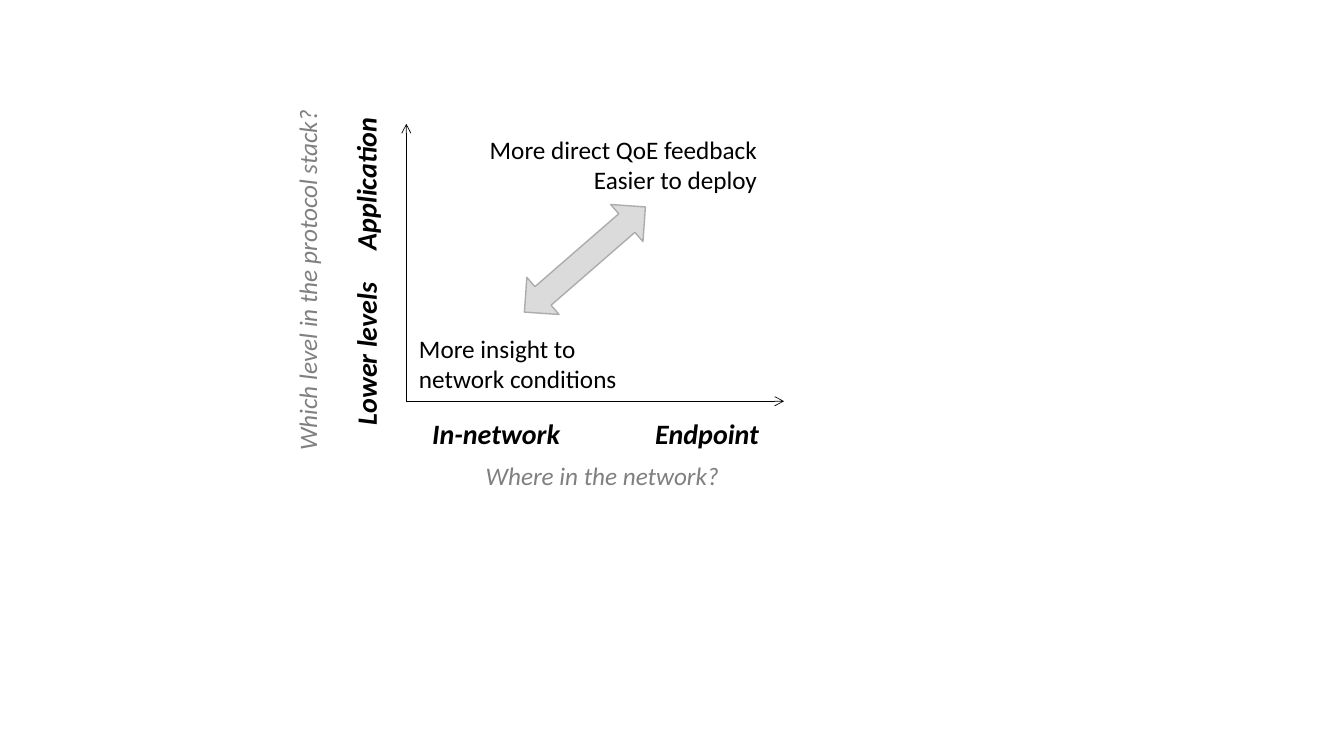
from dataclasses import dataclass

from lxml.etree import SubElement
from pptx import Presentation
from pptx.dml.color import RGBColor
from pptx.enum.shapes import MSO_CONNECTOR, MSO_SHAPE
from pptx.enum.text import MSO_AUTO_SIZE, PP_ALIGN
from pptx.oxml.ns import qn
from pptx.slide import Slide
from pptx.util import Cm, Pt


@dataclass(frozen=True)
class Theme:
    font: str = "Calibri"
    ink: str = "000000"
    muted: str = "808080"
    fill: str = "DBDBDB"
    edge: str = "AFABAB"
    large: float = 20
    body: float = 18
    thin: float = 0.5
    border: float = 1


@dataclass(frozen=True)
class Box:
    left: float
    top: float
    width: float
    height: float
    turn: float = 0


@dataclass(frozen=True)
class Label:
    text: str
    box: Box
    right: bool = False
    wrap: bool = False


THEME = Theme()
ORIGIN = (10.24, 10.11)
ENDS = [(10.24, 3.12), (19.76, 10.11)]
ARROW = Box(14.12, 4.52, 1.24, 4.04, 49)
TICKS = [
    Label("In-network", Box(10.64, 10.36, 3.76, 1.12)),
    Label("Endpoint", Box(16.26, 10.36, 3.12, 1.12)),
    Label("Lower levels", Box(7.16, 8.38, 4.14, 1.12, 270), right=True),
    Label("Application", Box(7.29, 4.09, 3.86, 1.12, 270), right=True),
]
NOTES = [
    Label("More direct QoE feedback\nEasier to deploy", Box(11.99, 3.25, 7.34, 1.8), right=True),
    Label("More insight to network conditions", Box(10.31, 8.28, 5.74, 1.8), wrap=True),
]
TITLES = [
    Label("Where in the network?", Box(11.99, 11.48, 6.45, 1.02)),
    Label("Which level in the protocol stack?", Box(3.15, 6.5, 9.19, 1.02, 270)),
]


def place(box: Box) -> tuple[Cm, Cm, Cm, Cm]:
    """Give the left, top, width and height of a box as lengths."""
    return Cm(box.left), Cm(box.top), Cm(box.width), Cm(box.height)


def add_text(slide: Slide, text: str, *, box: Box, size: float, color: str,
             bold: bool = False, slant: bool = False,
             right: bool = False, wrap: bool = False) -> None:
    """Add a text box with one paragraph for each line of text."""
    shape = slide.shapes.add_textbox(*place(box))
    shape.rotation = box.turn
    frame = shape.text_frame
    frame.text = text
    frame.word_wrap = wrap
    frame.auto_size = MSO_AUTO_SIZE.SHAPE_TO_FIT_TEXT
    for part in frame.paragraphs:
        part.alignment = PP_ALIGN.RIGHT if right else PP_ALIGN.LEFT
        for run in part.runs:
            font = run.font
            font.name, font.size = THEME.font, Pt(size)
            font.bold, font.italic = bold, slant
            font.color.rgb = RGBColor.from_string(color)


def add_labels(slide: Slide, labels: list[Label], *, size: float, color: str,
               bold: bool = False, slant: bool = False) -> None:
    """Add a group of labels that share one format."""
    for label in labels:
        add_text(slide, label.text, box=label.box, size=size, color=color,
                 bold=bold, slant=slant, right=label.right, wrap=label.wrap)


def add_axis(slide: Slide, end: tuple[float, float]) -> None:
    """Add an axis with an open arrowhead from the origin to its end."""
    axis = slide.shapes.add_connector(
        MSO_CONNECTOR.STRAIGHT, *map(Cm, ORIGIN), *map(Cm, end))
    axis.line.width = Pt(THEME.thin)
    axis.line.color.rgb = RGBColor.from_string(THEME.ink)
    SubElement(axis.line._get_or_add_ln(), qn("a:tailEnd"), type="arrow")
    SubElement(axis._element.spPr, qn("a:effectLst"))


def add_arrow(slide: Slide, box: Box) -> None:
    """Add the tilted double arrow between the two notes."""
    arrow = slide.shapes.add_shape(MSO_SHAPE.UP_DOWN_ARROW, *place(box))
    arrow.rotation = box.turn
    arrow.shadow.inherit = False
    arrow.fill.solid()
    arrow.fill.fore_color.rgb = RGBColor.from_string(THEME.fill)
    arrow.line.color.rgb = RGBColor.from_string(THEME.edge)
    arrow.line.width = Pt(THEME.border)


def main() -> None:
    """Build the slide and save it."""
    deck = Presentation()
    deck.slide_width, deck.slide_height = Cm(33.87), Cm(19.05)
    slide = deck.slides.add_slide(deck.slide_layouts[6])
    for end in ENDS:
        add_axis(slide, end)
    add_labels(slide, TICKS, size=THEME.large, color=THEME.ink, bold=True, slant=True)
    add_labels(slide, NOTES, size=THEME.body, color=THEME.ink)
    add_arrow(slide, ARROW)
    add_labels(slide, TITLES, size=THEME.body, color=THEME.muted, slant=True)
    deck.save("out.pptx")


if __name__ == "__main__":
    main()
